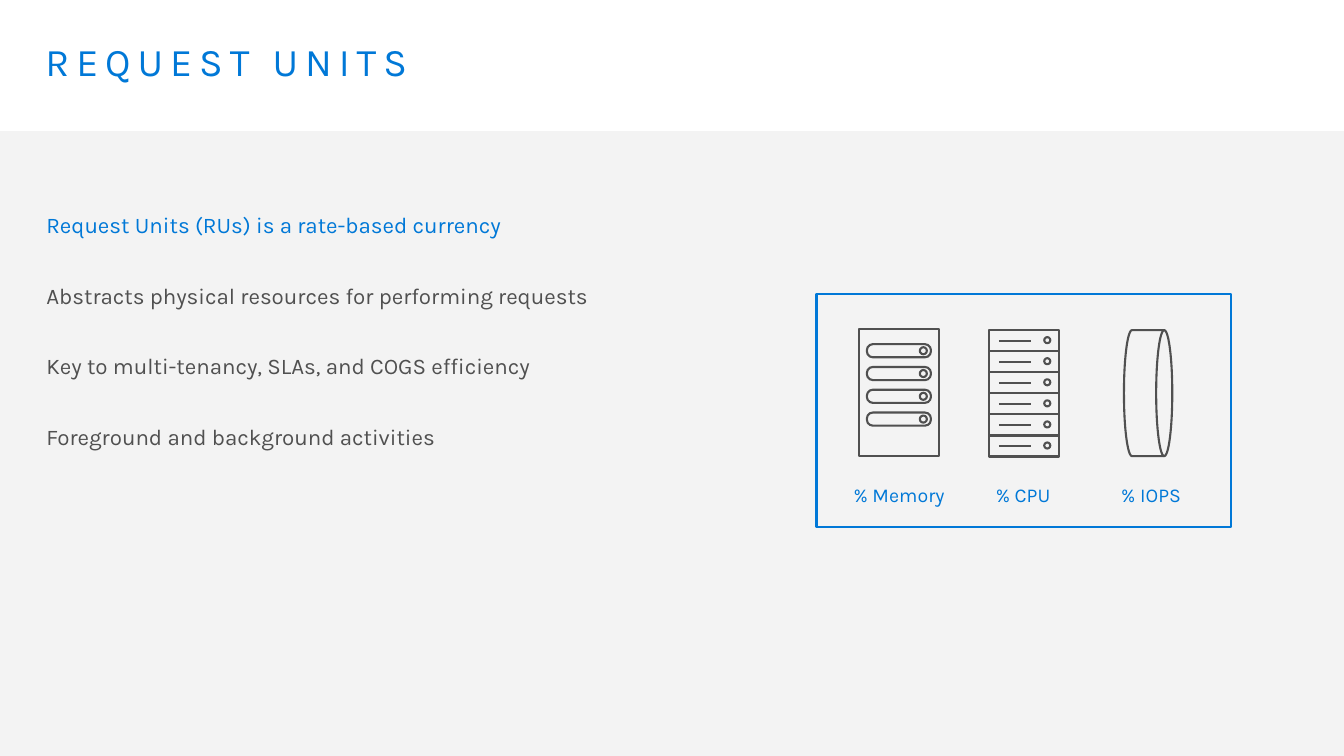
from lxml import etree
from pptx import Presentation
from pptx.dml.color import RGBColor
from pptx.enum.shapes import MSO_CONNECTOR, MSO_SHAPE
from pptx.enum.text import PP_ALIGN
from pptx.oxml.ns import qn
from pptx.util import Inches, Pt

RECT = MSO_SHAPE.RECTANGLE
PILL = MSO_SHAPE.ROUNDED_RECTANGLE
OVAL = MSO_SHAPE.OVAL
DRUM = MSO_SHAPE.FLOWCHART_DIRECT_ACCESS_STORAGE
LINE = MSO_CONNECTOR.STRAIGHT
LEFT, MID = PP_ALIGN.LEFT, PP_ALIGN.CENTER

COLORS = {"blue": "0078D7", "gray": "505050", "band": "F3F3F3"}
FONT = "Karla"
WIDE, HIGH = 133.33, 75  # grid columns and rows


def cell(n):
    """Length of n grid cells, ten to the inch."""
    return Inches(n / 10)


def tint(name):
    return RGBColor.from_string(COLORS[name])


class Board:
    """Draws styled elements on one slide; lengths are in grid cells."""

    def __init__(self, slide):
        self.shapes = slide.shapes

    def stroke(self, line, color):
        line.color.rgb = tint(color)
        line.width = Pt(1.5)

    def shape(self, kind, x, y, w, h, color="gray", fill=None):
        """Outlined shape, or a filled one without a line."""
        item = self.shapes.add_shape(kind, *map(cell, (x, y, w, h)))
        item.shadow.inherit = False
        if fill:
            item.fill.solid()
            item.fill.fore_color.rgb = tint(fill)
            item.line.fill.background()
        else:
            item.fill.background()
            self.stroke(item.line, color)
        return item

    def rule(self, x, y, w):
        line = self.shapes.add_connector(LINE, *map(cell, (x, y, x + w, y)))
        self.stroke(line.line, "gray")
        etree.SubElement(line._element.spPr, qn("a:effectLst"))

    def text(self, x, y, w, h, rows, size, align=LEFT, pad=(1.6, 1),
             lead=None, gaps=(0, 0), track=0):
        """Text box from (words, color) rows; gaps and track are in points."""
        box = self.shapes.add_textbox(*map(cell, (x, y, w, h)))
        frame = box.text_frame
        frame.word_wrap = True
        frame.margin_left = frame.margin_right = cell(pad[0])
        frame.margin_top = frame.margin_bottom = cell(pad[1])
        for i, (words, color) in enumerate(rows):
            par = frame.add_paragraph() if i else frame.paragraphs[0]
            run = par.add_run()
            run.text = words
            par.alignment = align
            par.line_spacing = lead
            par.space_before = Pt(gaps[0] if i else 0)
            par.space_after = Pt(gaps[1])
            par.font.name = FONT
            par.font.size = Pt(size)
            par.font.color.rgb = tint(color)
            if track:
                run.font._element.set("spc", str(track * 100))

    def label(self, mid, words):
        """Caption centred on column mid."""
        wide = 13.6
        self.text(mid - wide / 2, 47.4, wide, 3.9, [(words, "blue")], 14,
                  align=MID, pad=(1, 0.5))

    def rack(self, x, y):
        """Stack of six server units."""
        for i in range(6):
            top = y + i * 2.09
            self.shape(RECT, x, top, 7, 2.09)
            self.shape(OVAL, x + 5.5, top + 0.7, 0.6, 0.6)
            self.rule(x + 1, top + 1.05, 3.2)

    def tower(self, x, y):
        """Case with four memory slots."""
        self.shape(RECT, x, y, 8, 12.6)
        for i in range(4):
            top = y + 1.5 + i * 2.26
            slot = self.shape(PILL, x + 0.8, top, 6.35, 1.3)
            slot.adjustments[0] = 0.45
            self.shape(OVAL, x + 6.05, top + 0.3, 0.7, 0.7)


def main():
    deck = Presentation()
    deck.slide_width, deck.slide_height = cell(WIDE), cell(HIGH)
    board = Board(deck.slides.add_slide(deck.slide_layouts[6]))

    board.shape(RECT, 0, 13, WIDE, HIGH - 13, fill="band")
    board.text(2.9, 3.2, 127.5, 9.8, [("REQUEST UNITS", "blue")], 28,
               lead=0.9, track=5)
    board.text(3, 17.3, 62.2, 37.4, [
        ("Request Units (RUs) is a rate-based currency", "blue"),
        ("Abstracts physical resources for performing requests", "gray"),
        ("Key to multi-tenancy, SLAs, and COGS efficiency", "gray"),
        ("Foreground and background activities", "gray"),
    ], 16, lead=2, gaps=(8, 4))

    board.shape(RECT, 81, 29.2, 41.1, 23.1, color="blue")
    board.rack(98.1, 32.75)
    board.shape(DRUM, 111.5, 32.75, 4.8, 12.5)
    board.tower(85.2, 32.65)
    for mid, words in ((89.2, "% Memory"), (101.5, "% CPU"),
                       (114.2, "% IOPS")):
        board.label(mid, words)

    deck.save("out.pptx")


if __name__ == "__main__":
    main()
